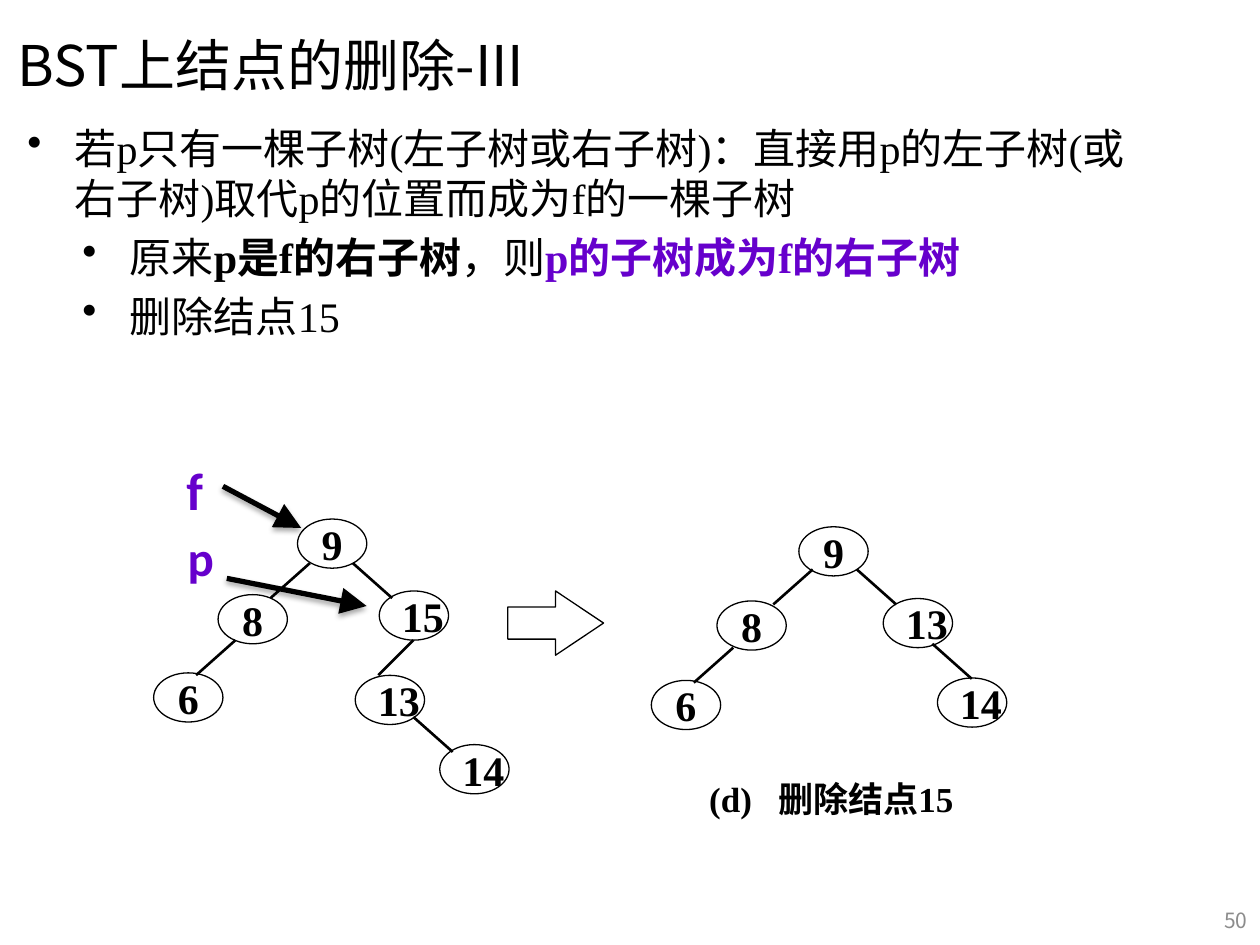
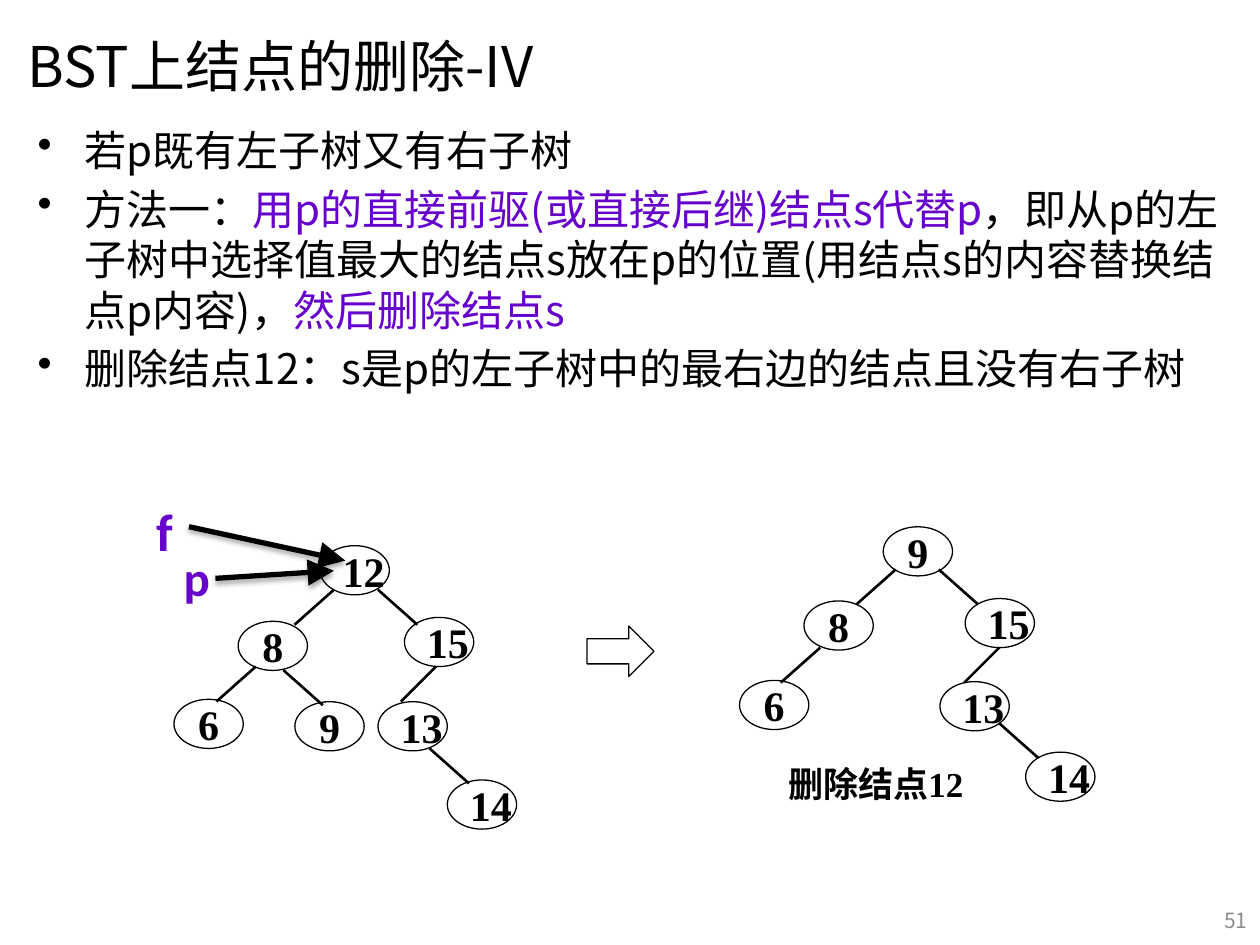
import dataclasses

import lxml.etree
import pptx
import pptx.dml.color
import pptx.enum.shapes
import pptx.enum.text
import pptx.oxml.ns
import pptx.util

Pt = pptx.util.Pt
Shape = pptx.enum.shapes.MSO_SHAPE
Line = pptx.enum.shapes.MSO_CONNECTOR
Align = pptx.enum.text.PP_ALIGN
Anchor = pptx.enum.text.MSO_ANCHOR
qn = pptx.oxml.ns.qn


@dataclasses.dataclass(frozen=True)
class Theme:
    ink: str = "000000"
    mark: str = "6600CC"
    faint: str = "8C8C8C"
    han: str = "Noto Sans CJK SC"
    head: str = "Noto Sans CJK JP"
    serif: str = "Times New Roman"
    label: str = "Calibri"
    title: int = 32
    body: int = 24
    note: int = 20
    page: int = 12
    gap: float = 4.8
    hang: int = 27
    step: float = 31.5
    node: tuple = (39.6, 28.1)
    rise: int = 20


def add(parent, tag, **attrs):
    return lxml.etree.SubElement(parent, qn(tag), attrs)


def rgb(color):
    return pptx.dml.color.RGBColor.from_string(color)


class Deck:
    def __init__(self, theme):
        self.theme = theme
        self.show = pptx.Presentation()
        self.show.slide_width, self.show.slide_height = Pt(720), Pt(540)
        self.slide = None

    def start(self, title, left, top, page):
        look = self.theme
        self.slide = self.show.slides.add_slide(self.show.slide_layouts[6])
        self.text(title, (left, top, 648, 73.4), look.title, look.head, wrap=True)
        self.text(page, (689, 511.2, 31, 28.8), look.page, look.han,
                  color=look.faint, align=Align.RIGHT, wrap=True)

    def style(self, run, size, font, color, bold=False):
        run.font.size = Pt(size)
        run.font.bold = bold
        run.font.color.rgb = rgb(color)
        run.font.name = font
        han = self.theme.head if font == self.theme.head else self.theme.han
        add(run.font._element, "a:ea", typeface=han)

    def box(self, place, wrap, anchor):
        shape = self.slide.shapes.add_textbox(*map(Pt, place))
        frame = shape.text_frame
        frame.word_wrap = wrap
        frame.vertical_anchor = anchor
        return frame

    def text(self, words, place, size, font, color=None, bold=False,
             align=Align.LEFT, wrap=False, anchor=Anchor.MIDDLE):
        frame = self.box(place, wrap, anchor)
        frame.text = words
        line = frame.paragraphs[0]
        line.alignment = align
        for run in line.runs:
            self.style(run, size, font, color or self.theme.ink, bold)
        return line

    def body(self, place, font, items):
        look = self.theme
        frame = self.box(place, True, Anchor.TOP)
        for i, (level, parts) in enumerate(items):
            line = frame.paragraphs[0] if i == 0 else frame.add_paragraph()
            line.level = level
            props = line._p.get_or_add_pPr()
            props.set("marL", str(Pt(look.hang + level * look.step)))
            props.set("indent", str(-Pt(look.hang)))
            add(props, "a:buChar", char="•")
            if i:
                line.space_before = Pt(look.gap)
            for words, color, bold in parts:
                run = line.add_run()
                run.text = words
                self.style(run, look.body, font, color, bold)

    def shape(self, kind, place):
        shape = self.slide.shapes.add_shape(kind, *map(Pt, place))
        shape.shadow.inherit = False
        shape.fill.background()
        shape.line.color.rgb = rgb(self.theme.ink)
        shape.line.width = Pt(0.75)
        return shape

    def node(self, key, left, top):
        shape = self.shape(Shape.OVAL, (left, top, *self.theme.node))
        frame = shape.text_frame
        frame.word_wrap = False
        frame.vertical_anchor = Anchor.MIDDLE
        frame.text = str(key)
        line = frame.paragraphs[0]
        line.alignment = Align.CENTER if key < 10 else Align.LEFT
        self.style(line.runs[0], self.theme.body, self.theme.serif, self.theme.ink, True)

    def line(self, ends, width):
        line = self.slide.shapes.add_connector(Line.STRAIGHT, *map(Pt, ends))
        line.line.color.rgb = rgb(self.theme.ink)
        line.line.width = Pt(width)
        return line, add(line._element.spPr, "a:effectLst")

    def tree(self, nodes, edges):
        for node in nodes:
            self.node(*node)
        for x, y, run in edges:
            self.line((x, y, x + run, y + self.theme.rise), 1.5)

    def arrow(self, *ends):
        line, glow = self.line(ends, 3)
        add(line.line._get_or_add_ln(), "a:tailEnd", type="triangle", w="lg", len="lg")
        cast = add(glow, "a:outerShdw", blurRad=str(Pt(3.1)), dist=str(Pt(1.8)),
                   dir="5400000", rotWithShape="0")
        add(add(cast, "a:srgbClr", val=self.theme.ink), "a:alpha", val="35000")

    def block(self, place, tip):
        shape = self.shape(Shape.RIGHT_ARROW, place)
        shape.adjustments[0] = 0.5
        shape.adjustments[1] = tip

    def name(self, words, left, top, size):
        self.text(words, (left, top, 27, 42), size, self.theme.label,
                  self.theme.mark, True, anchor=Anchor.TOP)

    def note(self, words, left, top, width, align):
        return self.text(words, (left, top, width, 28.1), self.theme.note,
                         self.theme.serif, bold=True, align=align)


def single(deck):
    ink, mark = deck.theme.ink, deck.theme.mark
    deck.start("BST上结点的删除-III", 2.9, 0, "50")
    deck.body((8.6, 66.2, 648, 135.4), deck.theme.serif, [
        (0, [("若p只有一棵子树(左子树或右子树)：直接用p的左子树(或右子树)"
              "取代p的位置而成为f的一棵子树", ink, False)]),
        (1, [("原来", ink, False), ("p是f的右子树", ink, True),
             ("，则", ink, False), ("p的子树成为f的右子树", mark, True)]),
        (1, [("删除结点15", ink, False)]),
    ])
    deck.block((290.2, 337.7, 54.7, 36.7), 0.747)
    deck.tree(
        [(9, 170, 296.6), (8, 124.6, 339.8), (6, 87.8, 384.5),
         (15, 216.7, 337.7), (13, 203, 385.9), (14, 251.3, 425.5)],
        [(177.1, 321.8, -22.5), (201.6, 321.8, 22.5), (134.6, 365.8, -22.5),
         (236.2, 365.8, -20), (236.2, 409.7, 22.5)])
    deck.tree(
        [(9, 456.5, 301), (8, 409.7, 343.4), (6, 372.2, 388.8),
         (13, 504.7, 342), (14, 535.7, 387.4)],
        [(464.4, 325.4, -22.5), (489.6, 325.4, 22.5), (419, 370.1, -22.5),
         (532.8, 367.9, 22.5)])
    line = deck.note("(d)\t删除结点15", 398.2, 442.1, 180, Align.LEFT)
    tabs = add(line._p.get_or_add_pPr(), "a:tabLst")
    add(tabs, "a:tab", pos=str(Pt(39.4)), algn="l")
    deck.name("p", 100.1, 298.1, 28)
    deck.arrow(129.6, 330.5, 209.5, 346.3)
    deck.arrow(127.4, 277.9, 172.1, 301.7)
    deck.name("f", 99.4, 258.5, 30)


def double(deck):
    ink, mark = deck.theme.ink, deck.theme.mark
    deck.start("BST上结点的删除-IV", 8.6, 0.7, "51")
    deck.body((14.4, 67.7, 692, 185), deck.theme.han, [
        (0, [("若p既有左子树又有右子树", ink, False)]),
        (0, [("方法一：", ink, False),
             ("用p的直接前驱(或直接后继)结点s代替p", mark, False),
             ("，即从p的左子树中选择值最大的结点s放在p的位置"
              "(用结点s的内容替换结点p内容)，", ink, False),
             ("然后删除结点s", mark, False)]),
        (0, [("删除结点12：s是p的左子树中的最右边的结点且没有右子树", ink, False)]),
    ])
    deck.tree(
        [(12, 182.9, 311.8), (8, 136.1, 355), (6, 99.4, 399.6), (9, 168.5, 401),
         (15, 231.1, 352.8), (13, 216, 401), (14, 255.6, 445.7)],
        [(190.8, 337, -22.5), (216, 337, 22.5), (146.2, 380.9, -22.5),
         (162, 383, 22.5), (249.1, 380.9, -20), (245.5, 427.7, 22.5)])
    deck.block((335.5, 357.8, 38.2, 28.8), 0.5)
    deck.tree(
        [(9, 504.7, 301), (8, 459.4, 343.4), (6, 422.6, 388.8),
         (15, 551.5, 342), (13, 537.1, 389.5), (14, 586.1, 429.8)],
        [(511.9, 325.4, -22.5), (536.4, 325.4, 22.5), (468.7, 370.1, -22.5),
         (571, 370.1, -20), (571, 413.3, 22.5)])
    deck.note("删除结点12", 425.5, 433.4, 149.8, Align.CENTER)
    deck.name("p", 97.9, 309.6, 28)
    deck.arrow(123.1, 330.5, 190.8, 326.2)
    deck.arrow(108, 301, 197.3, 320.4)
    deck.name("f", 82.1, 281.5, 30)


def main():
    deck = Deck(Theme())
    single(deck)
    double(deck)
    deck.show.save("out.pptx")


if __name__ == "__main__":
    main()
